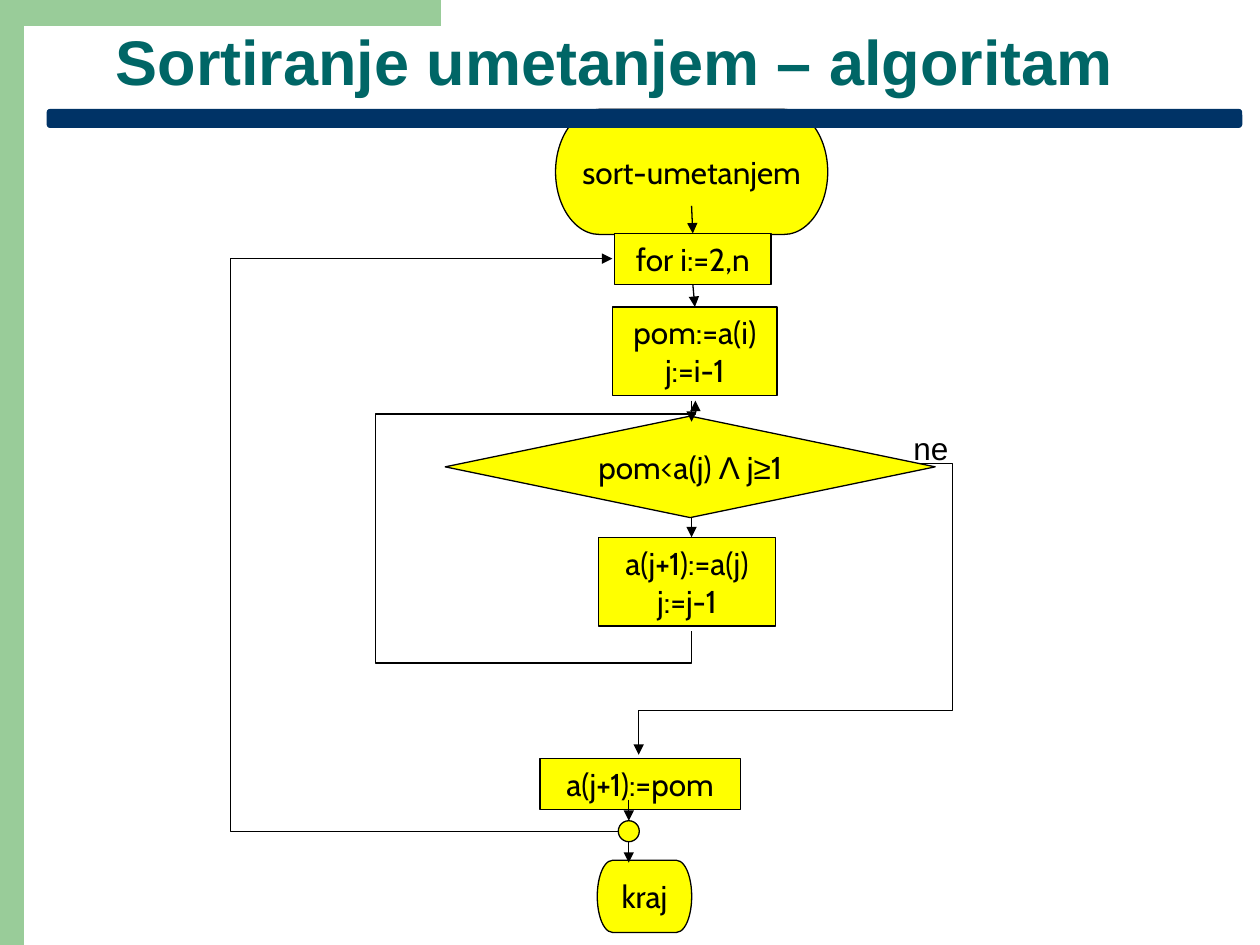
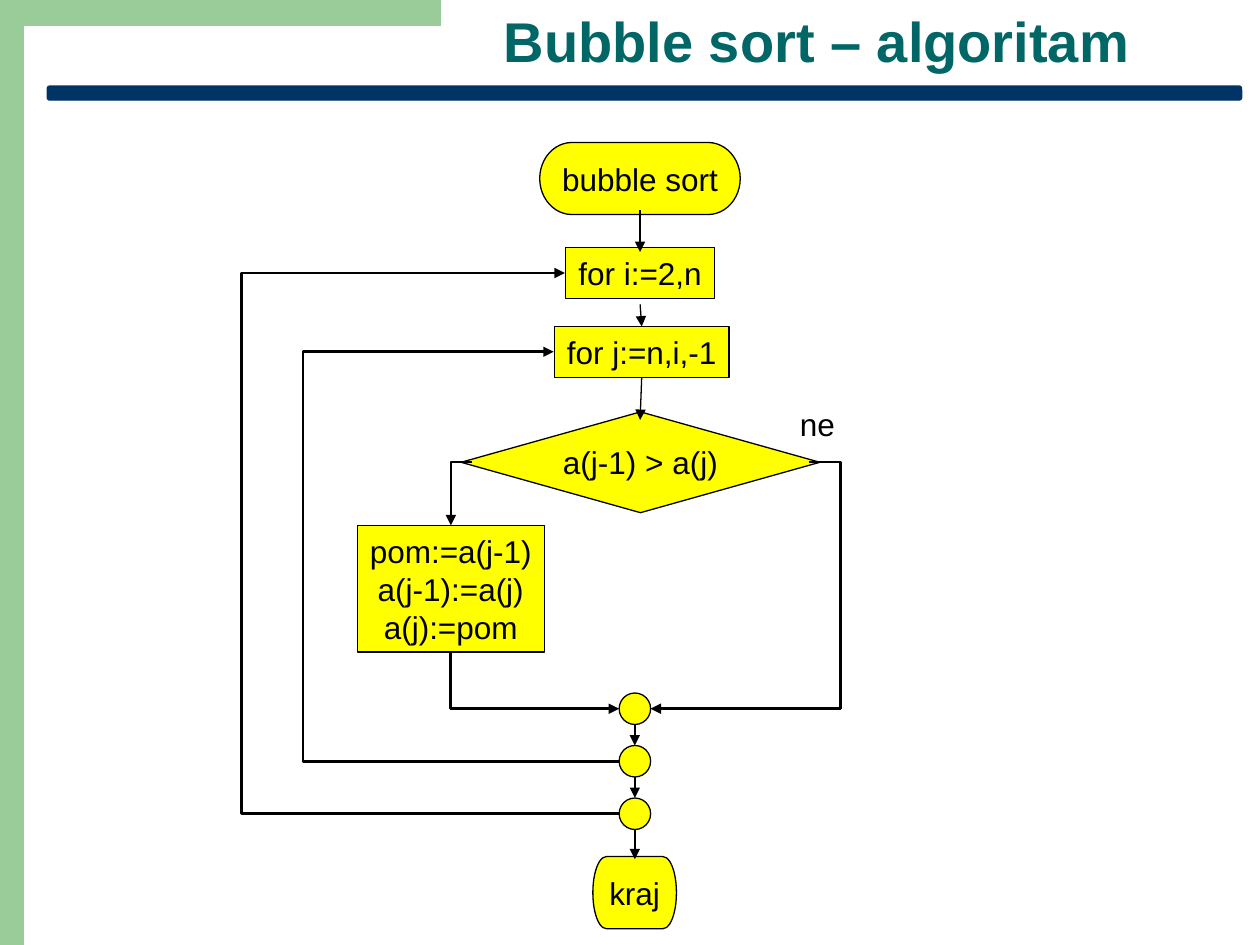
from dataclasses import dataclass
from itertools import groupby

from pptx import Presentation
from pptx.dml.color import RGBColor as RGB
from pptx.enum.shapes import MSO_CONNECTOR as LINK, MSO_SHAPE as SHAPE
from pptx.enum.text import MSO_ANCHOR as ANCHOR, PP_ALIGN as ALIGN
from pptx.oxml.ns import qn
from pptx.oxml.xmlchemy import OxmlElement
from pptx.util import Pt


@dataclass(frozen=True)
class Theme:
    band: RGB = RGB(0x99, 0xCC, 0x99)
    paper: RGB = RGB(0xFF, 0xFF, 0xFF)
    title: RGB = RGB(0x00, 0x66, 0x66)
    rule: RGB = RGB(0x00, 0x33, 0x66)
    node: RGB = RGB(0xFF, 0xFF, 0x00)
    ink: RGB = RGB(0x00, 0x00, 0x00)
    font: str = "Arial"
    alt_font: str = "Cabin"
    body_size: int = 18
    thin: float = 0.75
    thick: float = 1.5


THEME = Theme()
SYMBOLS = "Λ≥"  # always set in the main font
TOP, BOTTOM = 0, 2


def add_box(s, kind, box, fill, line=None):
    sp = s.shapes.add_shape(kind, *map(Pt, box))
    sp.shadow.inherit = False
    sp.fill.solid()
    sp.fill.fore_color.rgb = fill
    if line is None:
        sp.line.fill.background()
    else:
        sp.line.color.rgb = line
        sp.line.width = Pt(THEME.thin)
    return sp


def style_font(font, name, size, color, bold=False):
    font.name, font.size, font.bold = name, Pt(size), bold
    font.color.rgb = color


def add_label(s, text, box, size=THEME.body_size, color=THEME.ink, bold=False):
    tb = s.shapes.add_textbox(*map(Pt, box))
    tf = tb.text_frame
    tf.word_wrap = True
    tf.vertical_anchor = ANCHOR.BOTTOM
    tf.text = text
    p = tf.paragraphs[0]
    style_font(p.runs[0].font, THEME.font, size, color, bold)
    return p


def add_backdrop(s):
    add_box(s, SHAPE.RECTANGLE, (0, 0, 60, 540), THEME.band)
    add_box(s, SHAPE.RECTANGLE, (54, 0, 198, 84), THEME.band)
    add_box(s, SHAPE.RECTANGLE, (14.2, 15, 663.2, 525), THEME.paper, THEME.paper)


def add_title(s, text, box, size):
    add_label(s, text, box, size, THEME.title, True).line_spacing = 0.9


def add_rule(s, top, height):
    add_box(s, SHAPE.ROUNDED_RECTANGLE, (27, top, 682.5, height), THEME.rule, THEME.rule)


def add_node(s, kind, box, text, font=THEME.font):
    """Flowchart symbol with centred text, one paragraph per line."""
    sp = add_box(s, kind, box, THEME.node, THEME.ink)
    tf = sp.text_frame
    tf.word_wrap = False
    tf.vertical_anchor = ANCHOR.MIDDLE
    for i, line in enumerate(text.split("\n")):
        p = tf.add_paragraph() if i else tf.paragraphs[0]
        p.alignment = ALIGN.CENTER
        for is_symbol, chars in groupby(line, lambda c: c in SYMBOLS):
            r = p.add_run()
            r.text = "".join(chars)
            style_font(r.font, THEME.font if is_symbol else font,
                       THEME.body_size, THEME.ink)
    return sp


def add_joint(s, left, top, size):
    add_box(s, SHAPE.FLOWCHART_CONNECTOR, (left, top, size, size), THEME.node, THEME.ink)


def style_arrow(c, weight):
    c.line.color.rgb = THEME.ink
    c.line.width = Pt(weight)
    tail = OxmlElement("a:tailEnd")
    tail.set("type", "triangle")
    c.line._get_or_add_ln().append(tail)
    c._element.spPr.append(OxmlElement("a:effectLst"))


def add_arrow(s, start, end, source=None, target=None):
    """Straight arrow, joined to the source's bottom and the target's top if given."""
    c = s.shapes.add_connector(LINK.STRAIGHT, *map(Pt, start + end))
    if source is not None:
        c.begin_connect(source, BOTTOM)
    if target is not None:
        c.end_connect(target, TOP)
    style_arrow(c, THEME.thin)


def add_elbow(s, start, end, bends=(), turn=0, weight=THEME.thin):
    """Bent arrow; bends are x and y positions in turn, y first for a quarter turn."""
    dx, dy = end[0] - start[0], end[1] - start[1]
    across, down = {0: (dx, dy), 90: (dy, -dx), 180: (-dx, -dy), 270: (-dy, dx)}[turn]
    w, h = abs(across), abs(down)
    left = (start[0] + end[0] - w) / 2
    top = (start[1] + end[1] - h) / 2
    c = s.shapes.add_connector(LINK.ELBOW, *map(Pt, (left, top, left + w, top + h)))
    xfrm = c._element.spPr.find(qn("a:xfrm"))
    xfrm.set("rot", str(turn * 60000))
    xfrm.set("flipH", str(int(across < 0)))
    xfrm.set("flipV", str(int(down < 0)))

    geom = c._element.spPr.find(qn("a:prstGeom"))
    geom.set("prst", f"bentConnector{len(bends) + 2}")
    guides = geom.find(qn("a:avLst"))
    first_axis = 1 if turn in (90, 270) else 0
    for i, bend in enumerate(bends):
        axis = (first_axis + i) % 2
        share = (bend - start[axis]) / (end[axis] - start[axis])
        gd = OxmlElement("a:gd")
        gd.set("name", f"adj{i + 1}")
        gd.set("fmla", f"val {round(share * 100000)}")
        guides.append(gd)
    style_arrow(c, weight)


def build_insertion_sort(s):
    font = THEME.alt_font
    add_backdrop(s)
    add_title(s, "Sortiranje umetanjem – algoritam", (59, 12.2, 630, 48.2), 36)

    add_node(s, SHAPE.FLOWCHART_TERMINATOR, (317.5, 62.5, 155.5, 71.5), "sort-umetanjem", font)
    loop = add_node(s, SHAPE.FLOWCHART_PROCESS, (351.2, 133.4, 89.4, 29), "for i:=2,n", font)
    pick = add_node(s, SHAPE.FLOWCHART_PROCESS, (350.2, 175.4, 93.8, 50.6),
                    "pom:=a(i)\nj:=i-1", font)
    add_node(s, SHAPE.FLOWCHART_DECISION, (254.4, 237.8, 280, 58), "pom<a(j) Λ j≥1", font)
    add_node(s, SHAPE.FLOWCHART_PROCESS, (342, 307.2, 101.2, 50.6),
             "a(j+1):=a(j)\nj:=j-1", font)
    add_node(s, SHAPE.FLOWCHART_PROCESS, (308.6, 433.4, 114.4, 29), "a(j+1):=pom", font)
    add_node(s, SHAPE.FLOWCHART_TERMINATOR, (341.3, 491.6, 54, 41.2), "kraj", font)

    add_arrow(s, (395.2, 117.6), (395.9, 133.4), target=loop)
    add_arrow(s, (395.9, 162.4), (397.1, 175.4), loop, pick)
    add_arrow(s, (395.2, 229), (395.2, 241))
    add_arrow(s, (395.2, 295.4), (395.2, 307))
    add_elbow(s, (395.2, 360.8), (397.4, 229), (378.8, 215.4, 236.6), turn=90)
    add_elbow(s, (526.3, 264.8), (365, 431.3), (544.3, 406.2))
    add_label(s, "ne", (514.8, 241.2, 46, 29))
    add_joint(s, 353.3, 469, 12)
    add_arrow(s, (359.3, 457), (359.3, 469))
    add_arrow(s, (359.3, 481), (359.3, 493))
    add_elbow(s, (353.3, 475), (349.9, 147.8), (131.6,), turn=180)
    add_rule(s, 62.6, 10.2)


def build_bubble_sort(s):
    add_backdrop(s)
    add_title(s, "Bubble sort – algoritam", (280.8, 2.2, 430, 44), 32)
    add_rule(s, 49.2, 8)

    add_node(s, SHAPE.FLOWCHART_TERMINATOR, (308.4, 81.4, 114.6, 41.2), "bubble sort")
    add_node(s, SHAPE.FLOWCHART_PROCESS, (323.3, 141.5, 85, 29), "for i:=2,n")
    inner = add_node(s, SHAPE.FLOWCHART_PROCESS, (316.8, 186.6, 99.8, 29), "for j:=n,i,-1")
    add_node(s, SHAPE.FLOWCHART_DECISION, (263.5, 235.4, 205, 57.6), "a(j-1) > a(j)")
    add_node(s, SHAPE.FLOWCHART_PROCESS, (204.2, 300.4, 106.8, 72.2),
             "pom:=a(j-1)\na(j-1):=a(j)\na(j):=pom")
    add_node(s, SHAPE.FLOWCHART_TERMINATOR, (338.8, 489.5, 47.8, 41.2), "kraj")

    axis, joint, step = 362.8, 18, 30
    joint_tops = [396 + step * i for i in range(3)]
    for top in joint_tops:
        add_joint(s, axis - joint / 2, top, joint)
    for top, end in zip(joint_tops, joint_tops[1:] + [491]):
        add_arrow(s, (axis, top + joint), (axis, end))

    add_arrow(s, (365.8, 120), (365.8, 144))
    add_arrow(s, (365.8, 174), (365.8, 186.6), target=inner)
    add_arrow(s, (365.8, 216), (365.8, 240), source=inner)

    left, right = axis - joint / 2, axis + joint / 2
    merge, inner_end, outer_end = (top + joint / 2 for top in joint_tops)
    add_elbow(s, (462.2, 264), (right, merge), (480.2,), weight=THEME.thick)
    add_elbow(s, (left, inner_end), (316.4, 201), (173,), 180, THEME.thick)
    add_elbow(s, (left, outer_end), (322.8, 156), (138.2,), 180, THEME.thick)
    add_elbow(s, (269.8, 264), (257.6, 300.2), turn=180, weight=THEME.thick)
    add_elbow(s, (257.6, 372.6), (left, merge), turn=270, weight=THEME.thick)
    add_label(s, "ne", (450, 227.6, 52.6, 29))


def main():
    prs = Presentation()
    prs.slide_width, prs.slide_height = Pt(720), Pt(540)
    blank = prs.slide_layouts[6]
    for build in (build_insertion_sort, build_bubble_sort):
        build(prs.slides.add_slide(blank))
    prs.save("out.pptx")


if __name__ == "__main__":
    main()
